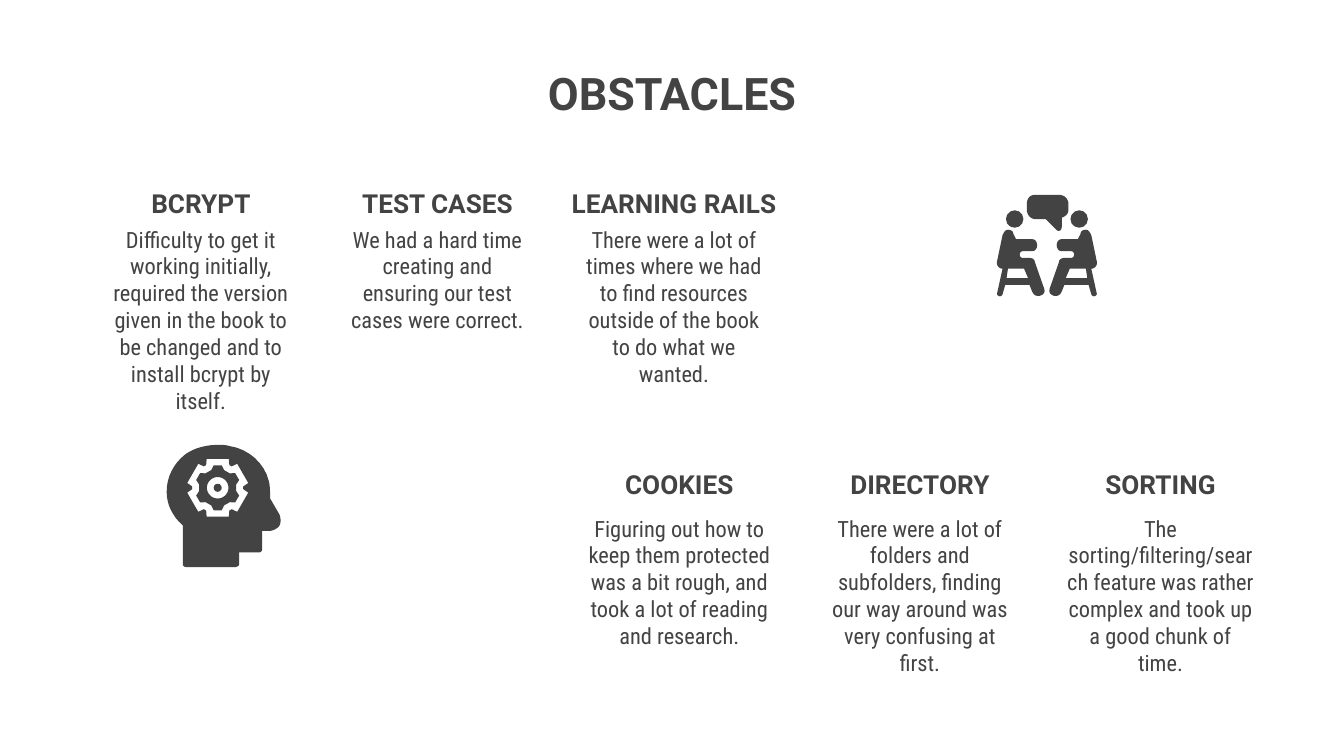
import math

from pptx import Presentation
from pptx import util as u
from pptx.dml.color import RGBColor
from pptx.enum import shapes, text

SLIDE_WIDTH = u.Inches(10)
SLIDE_HEIGHT = SLIDE_WIDTH * 9 // 16

INK = RGBColor(0x43, 0x43, 0x43)
TITLE = {"name": "Roboto", "size": u.Pt(24), "bold": True}
HEADING = {"name": "Roboto", "size": u.Pt(14), "bold": True}
BODY = {"name": "Roboto Condensed", "size": u.Pt(12), "bold": False}

HEADING_SIZE = (1.95, 0.47)
BODY_SIZE = (1.6, 1.1)
BODY_INDENT = (HEADING_SIZE[0] - BODY_SIZE[0]) / 2

# Each row: left edge, column pitch, heading top, body top, obstacles
ROWS = [
    (0.52, 1.76, 1.26, 1.58, [
        ("BCRYPT", "Difficulty to get it working initially, required the version "
                   "given in the book to be changed and to install bcrypt by itself."),
        ("TEST CASES", "We had a hard time creating and ensuring our test cases "
                       "were correct."),
        ("LEARNING RAILS", "There were a lot of times where we had to find resources "
                           "outside of the book to do what we wanted."),
    ]),
    (4.08, 1.79, 3.35, 3.73, [
        ("COOKIES", "Figuring out how to keep them protected was a bit rough, and "
                    "took a lot of reading and research."),
        ("DIRECTORY", "There were a lot of folders and subfolders, finding our way "
                      "around was very confusing at first."),
        ("SORTING", "The sorting/filtering/search feature was rather complex and "
                    "took up a good chunk of time."),
    ]),
]

# Outline steps: two numbers are a line's end, six are a cubic curve
BUBBLE = [
    (7.7, 1.45), (7.66, 1.45, 7.64, 1.48, 7.64, 1.52), (7.64, 1.56),
    (7.64, 1.6, 7.67, 1.63, 7.7, 1.63), (7.78, 1.63), (7.86, 1.71),
    (7.88, 1.73, 7.9, 1.71, 7.9, 1.69), (7.9, 1.62),
    (7.93, 1.61, 7.95, 1.59, 7.95, 1.56), (7.95, 1.52),
    (7.95, 1.48, 7.92, 1.45, 7.88, 1.45),
]
SITTER = [
    (7.5, 1.71), (7.48, 1.71, 7.47, 1.73, 7.46, 1.75), (7.42, 1.94),
    (7.41, 1.97, 7.43, 2, 7.46, 2), (7.42, 2.18),
    (7.41, 2.2, 7.45, 2.22, 7.46, 2.19), (7.48, 2.12), (7.66, 2.12), (7.68, 2.17),
    (7.7, 2.23, 7.79, 2.2, 7.77, 2.15), (7.7, 1.95),
    (7.7, 1.93, 7.68, 1.92, 7.66, 1.92), (7.61, 1.92),
    (7.58, 1.92, 7.58, 1.87, 7.61, 1.87), (7.68, 1.87),
    (7.73, 1.87, 7.73, 1.78, 7.68, 1.78), (7.56, 1.78), (7.54, 1.74),
    (7.54, 1.72, 7.52, 1.71, 7.5, 1.71),
]
STOOL_GAP = [(7.5, 2), (7.62, 2), (7.65, 2.07), (7.49, 2.07)]
TALK_CENTER = 7.79
HEAD = [
    (1.63, 3.31), (1.54, 3.31, 1.45, 3.33, 1.38, 3.38),
    (1.29, 3.45, 1.24, 3.55, 1.24, 3.66), (1.24, 3.75, 1.28, 3.84, 1.36, 3.91),
    (1.36, 4.2), (1.36, 4.21, 1.37, 4.22, 1.39, 4.22), (1.75, 4.22),
    (1.76, 4.22, 1.78, 4.21, 1.78, 4.2), (1.78, 4.11), (1.93, 4.11),
    (1.94, 4.11, 1.95, 4.1, 1.95, 4.09), (1.95, 3.95), (2.01, 3.95),
    (2.03, 3.95, 2.07, 3.93, 2.08, 3.91), (2.09, 3.89, 2.09, 3.86, 2.08, 3.83),
    (2.01, 3.71), (2.01, 3.67, 2.01, 3.62, 2, 3.58),
    (1.97, 3.45, 1.85, 3.34, 1.71, 3.32), (1.68, 3.31, 1.65, 3.31, 1.63, 3.31),
]
GEAR_CENTER = (1.62, 3.63)


def place(shape, left, top, width, height):
    shape.left, shape.top, shape.width, shape.height = map(
        u.Inches, (left, top, width, height))


def write(box, wording, style, anchor):
    frame = box.text_frame
    frame.text = wording
    layout = {"word_wrap": True, "auto_size": text.MSO_AUTO_SIZE.NONE,
              "vertical_anchor": anchor}
    layout.update({f"margin_{side}": u.Inches(0.1)
                   for side in ("left", "top", "right", "bottom")})
    for name, value in layout.items():
        setattr(frame, name, value)
    para = frame.paragraphs[0]
    para.alignment = text.PP_ALIGN.CENTER
    font = para.runs[0].font
    for name, value in style.items():
        setattr(font, name, value)
    font.color.rgb = INK


def add_text(slide, left, top, size, wording, style, anchor):
    box = slide.shapes.add_textbox(*map(u.Inches, (left, top, *size)))
    write(box, wording, style, anchor)


def add_row(slide, left, pitch, heading_top, body_top, obstacles):
    for column, (heading, body) in enumerate(obstacles):
        x = left + column * pitch
        add_text(slide, x, heading_top, HEADING_SIZE, heading, HEADING,
                 text.MSO_ANCHOR.BOTTOM)
        add_text(slide, x + BODY_INDENT, body_top, BODY_SIZE, body, BODY,
                 text.MSO_ANCHOR.TOP)


def flatten(outline, steps=8):
    """Turn lines and cubic curves into a list of points."""
    points = []
    for step in outline:
        if len(step) == 2:
            points.append(step)
            continue
        knots = [points[-1], step[:2], step[2:4], step[4:]]
        for i in range(1, steps + 1):
            t = i / steps
            weights = ((1 - t) ** 3, 3 * t * (1 - t) ** 2, 3 * t * t * (1 - t), t ** 3)
            points.append(tuple(sum(w * knot[axis] for w, knot in zip(weights, knots))
                                for axis in (0, 1)))
    return points


def polar(center, radius, degrees):
    angle = math.radians(degrees)
    return center[0] + radius * math.sin(angle), center[1] - radius * math.cos(angle)


def circle(center, radius):
    return [polar(center, radius, 10 * i) for i in range(36)]


def gear(center, tip, root, tip_angle, root_angle):
    """Six teeth; the angles are half widths in degrees."""
    corners = [(root, -root_angle), (tip, -tip_angle), (tip, tip_angle), (root, root_angle)]
    return [polar(center, radius, 60 * tooth + angle)
            for tooth in range(6) for radius, angle in corners]


def mirror(points):
    return [(2 * TALK_CENTER - x, y) for x, y in points]


def paint(shape):
    shape.shadow.inherit = False
    shape.fill.solid()
    shape.fill.fore_color.rgb = INK
    shape.line.fill.background()


def add_outline(group, *contours):
    """Draw a filled shape; contours after the first are holes."""
    scaled = [[(u.Inches(x), u.Inches(y)) for x, y in points] for points in contours]
    builder = group.shapes.build_freeform(*scaled[0][0], scale=1.0)
    builder.add_line_segments(scaled[0][1:], close=True)
    for hole in scaled[1:]:
        builder.move_to(*hole[0])
        builder.add_line_segments(hole[1:], close=True)
    paint(builder.convert_to_shape())


def add_dot(group, center, size):
    left, top = (value - size / 2 for value in center)
    paint(group.shapes.add_shape(shapes.MSO_SHAPE.OVAL,
                                 *map(u.Inches, (left, top, size, size))))


def add_talk_icon(slide):
    group = slide.shapes.add_group_shape()
    add_outline(group, flatten(BUBBLE))
    sitter = flatten(SITTER)
    add_outline(group, sitter, STOOL_GAP)
    add_outline(group, mirror(sitter), mirror(STOOL_GAP))
    for side in (-1, 1):
        add_dot(group, (TALK_CENTER + side * 0.24, 1.63), 0.13)


def add_mind_icon(slide):
    group = slide.shapes.add_group_shape()
    add_outline(group, flatten(HEAD), gear(GEAR_CENTER, 0.23, 0.19, 21, 27))
    add_outline(group, gear(GEAR_CENTER, 0.17, 0.14, 10, 20), circle(GEAR_CENTER, 0.08))
    add_dot(group, GEAR_CENTER, 0.06)


def main():
    deck = Presentation()
    deck.slide_width, deck.slide_height = SLIDE_WIDTH, SLIDE_HEIGHT
    slide = deck.slides.add_slide(deck.slide_layouts.get_by_name("Title Only"))
    title = slide.shapes.title
    place(title, 2.15, 0.39, 5.7, 1.03)
    write(title, "OBSTACLES", TITLE, text.MSO_ANCHOR.TOP)
    for row in ROWS:
        add_row(slide, *row)
    add_talk_icon(slide)
    add_mind_icon(slide)
    deck.save("out.pptx")


if __name__ == "__main__":
    main()
